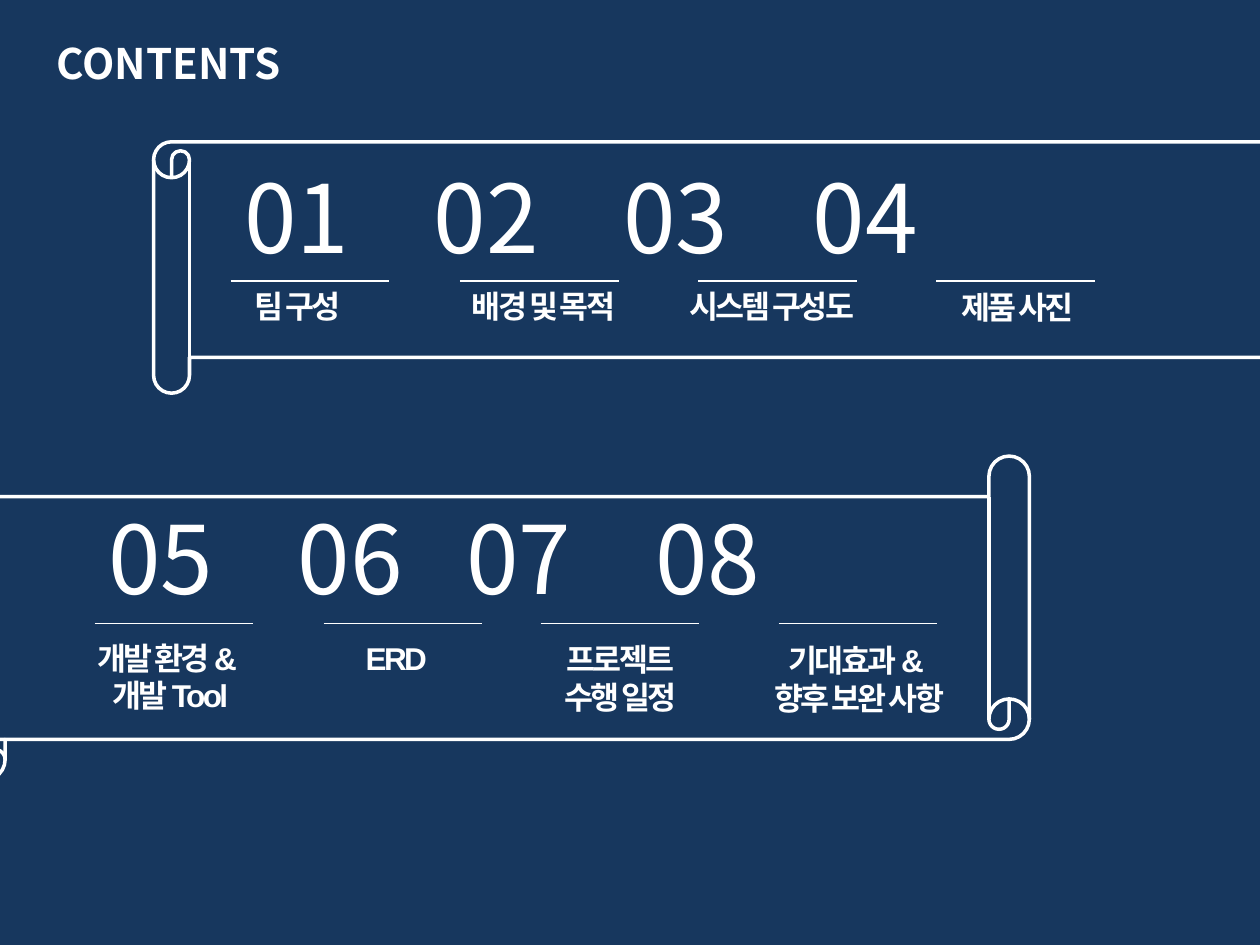
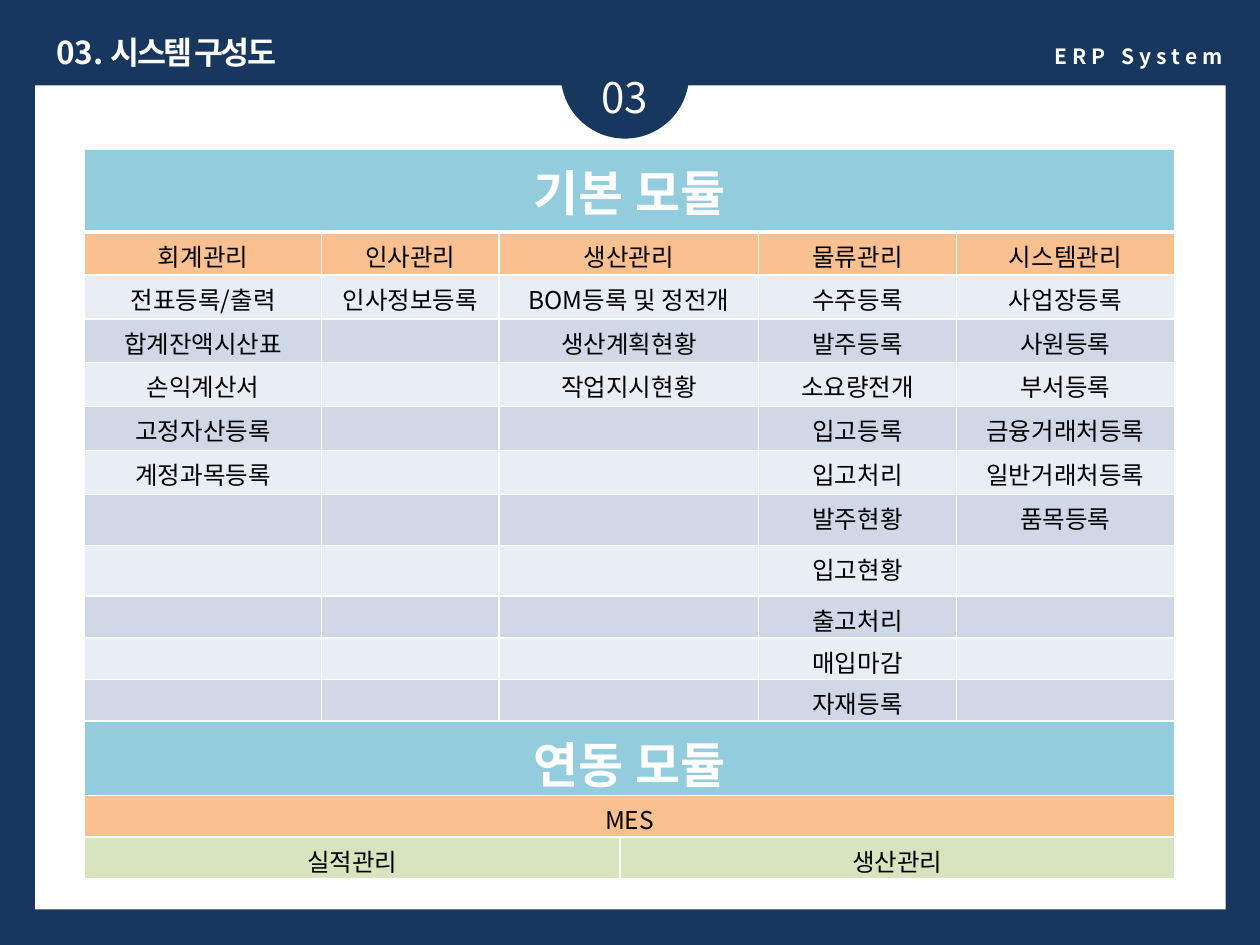
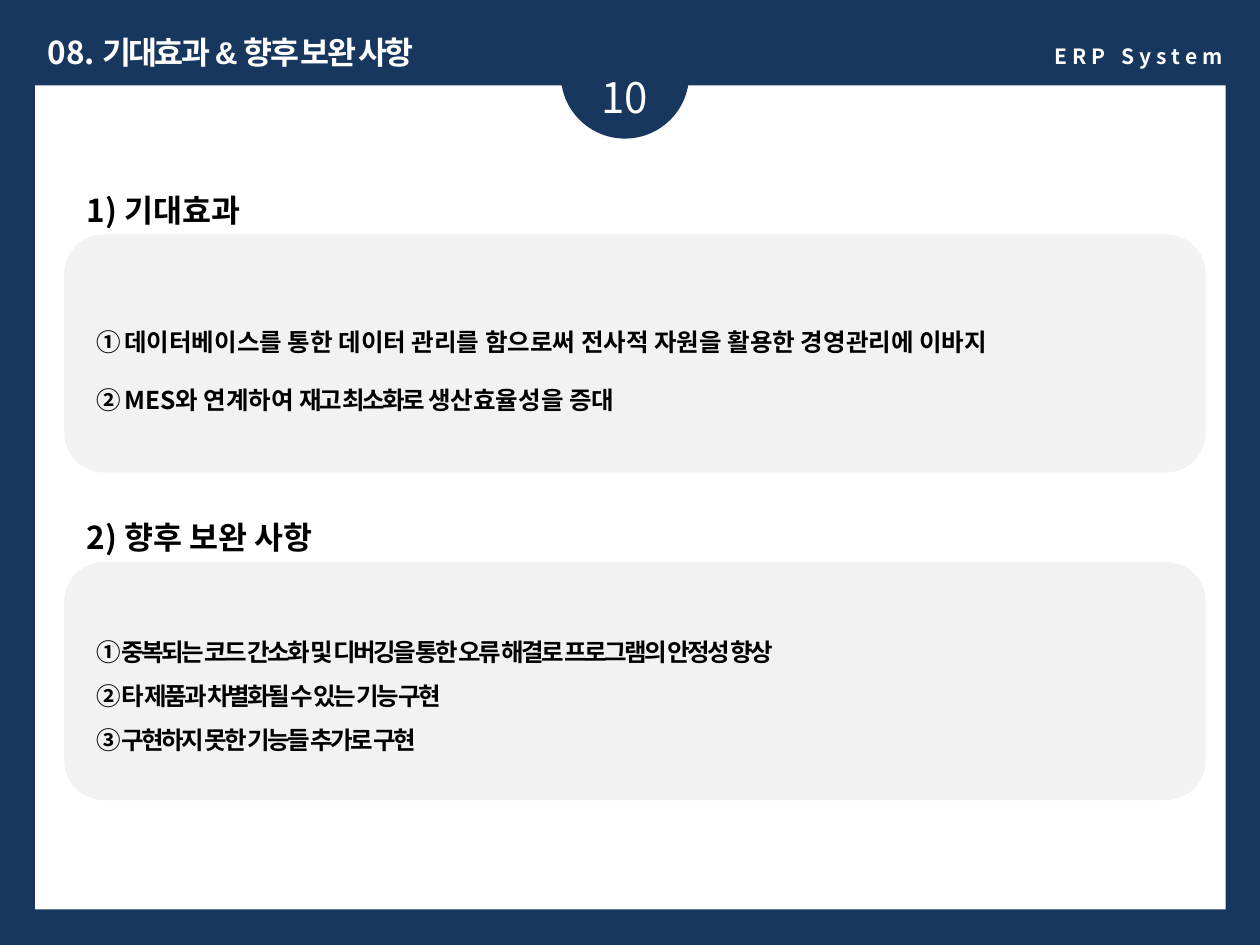
import pptx
import pptx.dml.color
import pptx.enum.shapes
import pptx.enum.text
import pptx.oxml
import pptx.oxml.ns
import pptx.util
from lxml import etree

Pt = pptx.util.Pt
SHAPE = pptx.enum.shapes.MSO_SHAPE
ALIGN = pptx.enum.text.PP_ALIGN
qn = pptx.oxml.ns.qn

COLORS = {
    "navy": "17375E", "white": "FFFFFF", "black": "000000", "panel": "F2F2F2",
    "heading": "93CDDD", "group": "FAC090", "light": "E9EDF4", "dark": "D0D8E8",
    "link": "D7E4BD",
}
NOTO, ARIAL = "Noto Sans CJK KR", "Arial"
TIGHT = -1.5

CONTENT_ROWS = [
    {
        "numbers": ["01", "02", "03", "04"], "number_box": (120.2, 87.1),
        "tabs": [108.3, 216.6, 324.9],
        "rule_top": 160.6, "rule_lefts": [131.8, 262.8, 398.9, 535],
        "labels": [
            (["팀 구성"], 115.9, 160.6, 108),
            (["배경 및 목적"], 245.5, 160.6, 130.3),
            (["시스템 구성도"], 375.8, 160.6, 130.3),
            (["제품 사진"], 507.6, 161.3, 147.6),
        ],
        "scroll": (87.8, 60.5, 737.3, 164.2), "rotation": 0,
    },
    {
        "numbers": ["05", "06", "07", "08"], "number_box": (42.5, 282.2),
        "tabs": [108.3, 204.5, 312.8],
        "rule_top": 356.4, "rule_lefts": [54, 185, 308.9, 445],
        "labels": [
            (["개발 환경 & ", "개발 Tool"], 43.2, 361.4, 108),
            (["ERD"], 161.3, 361.4, 130.3),
            (["프로젝트", "수행 일정"], 280.8, 362.2, 147.6),
            (["기대효과 & ", "향후 보완 사항"], 404.6, 362.9, 172.8),
        ],
        "scroll": (-20.2, 260.6, 608.4, 185), "rotation": 180,
    },
]
RULE_WIDTH = 90.7

COLUMN_WIDTHS = [135.4, 101.5, 69.1, 79.2, 113, 124.6]
ROW_HEIGHTS = [47.4, 24.6] + [25.1] * 5 + [29.1] * 2 + [23.8] * 3 + [42.6] + [23.8] * 2
MODULES = [
    ("회계관리", ["전표등록/출력", "합계잔액시산표", "손익계산서", "고정자산등록", "계정과목등록"]),
    ("인사관리", ["인사정보등록"]),
    ("생산관리", ["BOM등록 및 정전개", "생산계획현황", "작업지시현황"]),
    ("물류관리", ["수주등록", "발주등록", "소요량전개", "입고등록", "입고처리",
              "발주현황", "입고현황", "출고처리", "매입마감", "자재등록"]),
    ("시스템관리", ["사업장등록", "사원등록", "부서등록", "금융거래처등록", "일반거래처등록", "품목등록"]),
]
MODULE_SPANS = [(0, 0), (1, 1), (2, 3), (4, 4), (5, 5)]
ITEM_ROWS = 10

OUTLOOK = [
    {
        "heading": "1) 기대효과", "heading_top": 105.8, "panel_top": 133.9, "text_top": 166.3,
        "items": [
            (2, [("① ", TIGHT),
                 ("데이터베이스를 통한 데이터 관리를 함으로써 전사적 자원을 활용한 경영관리에 이바지", 0)]),
            (2, [("② ", TIGHT), ("MES와 연계하여 ", 0), ("재고 최소화로 ", TIGHT),
                 ("생산효율성을 증대", 0)]),
        ],
    },
    {
        "heading": "2) 향후 보완 사항", "heading_top": 292.3, "panel_top": 321.1, "text_top": 343.4,
        "items": [
            (2, [("① 중복되는 코드 간소화 및 디버깅을 통한 오류 해결로 프로그램의 안정성 향상", TIGHT)]),
            (1.5, [("② 타 제품과 차별화될 수 있는 기능 구현", TIGHT)]),
            (1.5, [("③ 구현하지 못한 기능들 추가로 구현", TIGHT)]),
        ],
    },
]


def color(name):
    return pptx.dml.color.RGBColor.from_string(COLORS[name])


def set_face(properties, font, face, spacing):
    font.name = face
    for old in properties.findall(qn("a:ea")):
        properties.remove(old)
    east_asian = etree.Element(qn("a:ea"), typeface=NOTO)
    properties.find(qn("a:latin")).addnext(east_asian)
    if spacing is not None:
        properties.set("spc", str(int(spacing * 100)))


def style(para, size, tint="white", bold=False, face=NOTO, align=ALIGN.LEFT, spacing=None):
    para.alignment = align
    para.font.size = Pt(size)
    para.font.bold = bold
    para.font.color.rgb = color(tint)
    properties = para._p.get_or_add_pPr().get_or_add_defRPr()
    set_face(properties, para.font, face, spacing)


def add_span(para, text, face=NOTO, spacing=None):
    span = para.add_run()
    span.text = text
    set_face(span._r.get_or_add_rPr(), span.font, face, spacing)


def add_box(page, left, top, width, height):
    box = page.shapes.add_textbox(Pt(left), Pt(top), Pt(width), Pt(height))
    box.text_frame.word_wrap = True
    return box.text_frame


def add_text(page, bounds, lines, size, **look):
    frame = add_box(page, *bounds)
    for index, line in enumerate(lines):
        para = frame.add_paragraph() if index else frame.paragraphs[0]
        para.text = line
        style(para, size, **look)
    return frame


def add_shape(page, kind, bounds, fill=None, outline=None):
    shape = page.shapes.add_shape(kind, *map(Pt, bounds))
    shape.shadow.inherit = False
    if fill:
        shape.fill.solid()
        shape.fill.fore_color.rgb = color(fill)
    else:
        shape.fill.background()
    if outline:
        shape.line.color.rgb = color(outline)
        shape.line.width = Pt(2)
    else:
        shape.line.fill.background()
    return shape


def add_rule(page, left, top):
    rule = page.shapes.add_connector(
        pptx.enum.shapes.MSO_CONNECTOR.STRAIGHT, Pt(left), Pt(top), Pt(left + RULE_WIDTH), Pt(top))
    rule.line.color.rgb = color("white")
    rule.line.width = Pt(0.75)
    etree.SubElement(rule._element.spPr, qn("a:effectLst"))


def add_page(deck):
    return deck.slides.add_slide(deck.slide_layouts[6])


def add_framed_page(deck, number, chapter, title, title_bounds, title_align):
    page = add_page(deck)
    add_shape(page, SHAPE.RECTANGLE, (20, 48.8, 680.4, 470.9), "white")
    add_shape(page, SHAPE.OVAL, (320.4, 5.8, 73.4, 73.4), "navy")
    add_text(page, (314.6, 37.4, 85, 36), [number], 24, align=ALIGN.CENTER)
    add_text(page, (422.6, 21.6, 283.7, 21.6), ["ERP System"], 12,
             bold=True, align=ALIGN.RIGHT, spacing=3)
    para = add_box(page, *title_bounds).paragraphs[0]
    style(para, 18, bold=True, align=title_align)
    add_span(para, chapter)
    add_span(para, title, ARIAL, TIGHT)
    return page


def add_number_row(page, row):
    left, top = row["number_box"]
    frame = add_text(page, (left, top, 668.9, 72.7), ["\t".join(row["numbers"])], 54)
    frame.margin_left = Pt(19.3)
    tabs = etree.Element(qn("a:tabLst"))
    for stop in row["tabs"]:
        etree.SubElement(tabs, qn("a:tab"), pos=str(int(Pt(stop))), algn="l")
    frame.paragraphs[0]._p.get_or_add_pPr().insert(0, tabs)


def build_contents(deck):
    page = add_page(deck)
    add_text(page, (25.2, 18, 329, 36), ["CONTENTS"], 24, bold=True)
    for row in CONTENT_ROWS:
        add_number_row(page, row)
        for left in row["rule_lefts"]:
            add_rule(page, left, row["rule_top"])
        for lines, left, top, width in row["labels"]:
            add_text(page, (left, top, width, 6.8 + 22 * len(lines)), lines, 18,
                     bold=True, face=ARIAL, align=ALIGN.CENTER, spacing=TIGHT)
        scroll = add_shape(page, SHAPE.HORIZONTAL_SCROLL, row["scroll"], outline="white")
        scroll.rotation = row["rotation"]


def add_border(cell, side, width):
    line = etree.SubElement(cell._tc.get_or_add_tcPr(), qn("a:ln" + side), w=str(int(Pt(width))))
    fill = etree.SubElement(line, qn("a:solidFill"))
    etree.SubElement(fill, qn("a:srgbClr"), val=COLORS["white"])


def fill_cells(table, row, first, last, text, fill, size=14, tint="black", bold=False, bottom=1):
    for column in range(first, last + 1):
        cell = table.cell(row, column)
        for side in "LRTB":
            add_border(cell, side, bottom if side == "B" else 1)
        cell.fill.solid()
        cell.fill.fore_color.rgb = color(fill)
        cell.margin_top, cell.margin_bottom = Pt(3.3), Pt(0)
        para = cell.text_frame.paragraphs[0]
        style(para, size, tint, bold, align=ALIGN.CENTER)
        if column == first and text:
            para.text = text
        else:
            para._p.get_or_add_endParaRPr().set("sz", str(size * 100))
    if last > first:
        table.cell(row, first).merge(table.cell(row, last))


def build_modules(deck):
    page = add_framed_page(deck, "03", "03. ", "시스템 구성도",
                           (18.7, 15.1, 152.6, 28.8), ALIGN.CENTER)
    table = page.shapes.add_table(
        len(ROW_HEIGHTS), len(COLUMN_WIDTHS), Pt(48.4), Pt(85.1),
        Pt(sum(COLUMN_WIDTHS)), Pt(sum(ROW_HEIGHTS))).table
    for column, width in zip(table.columns, COLUMN_WIDTHS):
        column.width = Pt(width)
    for row, height in zip(table.rows, ROW_HEIGHTS):
        row.height = Pt(height)
    banner = {"fill": "heading", "size": 28, "tint": "white", "bold": True}
    fill_cells(table, 0, 0, 5, "기본 모듈", bottom=3, **banner)
    for (name, items), (first, last) in zip(MODULES, MODULE_SPANS):
        fill_cells(table, 1, first, last, name, "group")
        for index in range(ITEM_ROWS):
            text = items[index] if index < len(items) else ""
            fill_cells(table, index + 2, first, last, text, "dark" if index % 2 else "light")
    fill_cells(table, 12, 0, 5, "연동 모듈", **banner)
    fill_cells(table, 13, 0, 5, "MES", "group")
    fill_cells(table, 14, 0, 2, "실적관리", "link")
    fill_cells(table, 14, 3, 5, "생산관리", "link")


def build_outlook(deck):
    page = add_framed_page(deck, "10", "08. ", "기대효과 & 향후 보완 사항",
                           (20.2, 15.1, 266.4, 28.8), ALIGN.LEFT)
    for section in OUTLOOK:
        add_shape(page, SHAPE.ROUNDED_RECTANGLE,
                  (36.7, section["panel_top"], 652.3, 136.1), "panel")
        add_text(page, (42.5, section["heading_top"], 260.6, 28.8), [section["heading"]], 18,
                 tint="black", bold=True)
        frame = add_box(page, 48.2, section["text_top"], 595.4, 80)
        for index, (line_spacing, spans) in enumerate(section["items"]):
            para = frame.add_paragraph() if index else frame.paragraphs[0]
            style(para, 14, "black", True)
            para.line_spacing = line_spacing
            for text, spacing in spans:
                add_span(para, text, spacing=spacing)


def main():
    deck = pptx.Presentation()
    deck.slide_width, deck.slide_height = Pt(720), Pt(540)
    background = deck.slide_master.background.fill
    background.solid()
    background.fore_color.rgb = color("navy")
    build_contents(deck)
    build_modules(deck)
    build_outlook(deck)
    deck.save("out.pptx")


if __name__ == "__main__":
    main()
